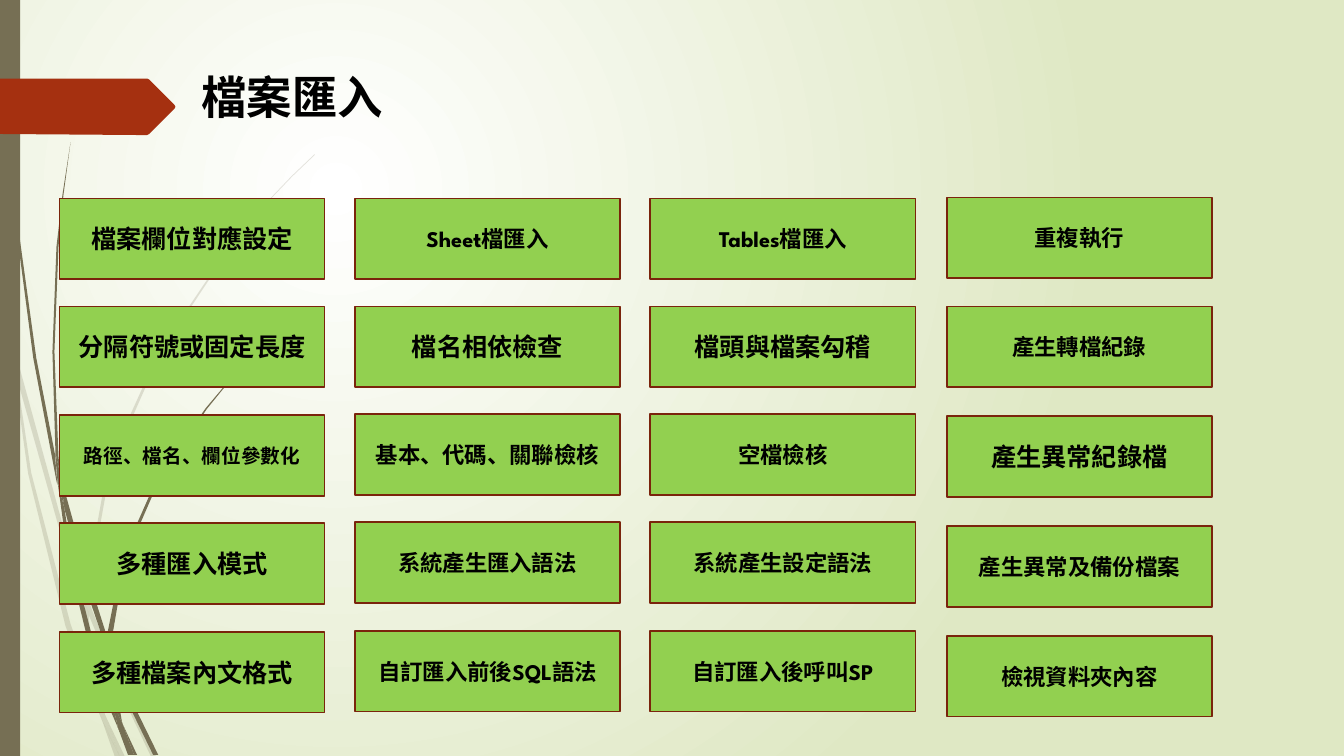
from dataclasses import dataclass

from lxml import etree
from pptx import Presentation
from pptx import util as u
from pptx.dml import color
from pptx.enum import shapes, text
from pptx.oxml import ns

PX = 9144  # EMU per px, 100 px to the inch
FONT = "League Spartan"
COLORS = {
    "glow": "FFFFFF",
    "backdrop": "DFE8C4",
    "olive": "766F54",
    "banner": "A53010",
    "box": "92D050",
    "border": "7A240C",
    "text": "000000",
}
BOX_WIDTH, BOX_HEIGHT = 263, 80
Points = list[tuple[int, int]]


@dataclass
class Feature:
    label: str
    size: int = 16


@dataclass
class Column:
    left: int
    top: int
    last_top: int
    features: list[Feature]


@dataclass
class Outline:
    points: Points
    fill: str = "olive"
    opacity: int = 100


COLUMNS = [
    Column(59, 197, 627, [
        Feature("檔案欄位對應設定", 18),
        Feature("分隔符號或固定長度", 18),
        Feature("路徑、檔名、欄位參數化", 14),
        Feature("多種匯入模式", 18),
        Feature("多種檔案內文格式", 18),
    ]),
    Column(352, 197, 626, [
        Feature("Sheet檔匯入"),
        Feature("檔名相依檢查", 18),
        Feature("基本、代碼、關聯檢核"),
        Feature("系統產生匯入語法"),
        Feature("自訂匯入前後SQL語法"),
    ]),
    Column(645, 197, 626, [
        Feature("Tables檔匯入"),
        Feature("檔頭與檔案勾稽", 18),
        Feature("空檔檢核"),
        Feature("系統產生設定語法"),
        Feature("自訂匯入後呼叫SP"),
    ]),
    Column(939, 196, 631, [
        Feature("重複執行"),
        Feature("產生轉檔紀錄"),
        Feature("產生異常紀錄檔", 18),
        Feature("產生異常及備份檔案"),
        Feature("檢視資料夾內容"),
    ]),
]

PALE_BLADES: list[Points] = [
    [(11, 350), (9, 322), (0, 282), (0, 299), (10, 344)],
    [(58, 522), (84, 599), (85, 586), (62, 520), (14, 345), (17, 376)],
    [(92, 607), (88, 596), (88, 610), (123, 694), (150, 751), (155, 751), (127, 692)],
    [(119, 751), (124, 751), (105, 711)],
    [(93, 683), (70, 619), (31, 469), (17, 376), (11, 350), (28, 470), (65, 621),
     (92, 693), (101, 714), (99, 707)],
    [(84, 599), (87, 646), (93, 683), (96, 692), (105, 711), (103, 706), (91, 646),
     (88, 610), (88, 608)],
    [(88, 584), (110, 462), (160, 349), (229, 245), (268, 198), (290, 175), (312, 154),
     (312, 153), (289, 175), (268, 197), (228, 244), (158, 348), (107, 461), (85, 584),
     (85, 586), (88, 596)],
    [(101, 714), (114, 751), (119, 751)],
    [(88, 608), (88, 610), (88, 596), (85, 586), (84, 599)],
    [(96, 692), (93, 683), (99, 707), (101, 714), (119, 751), (105, 711)],
]

DARK_BLADES: list[Points] = [
    [(7, 110), (17, 233), (33, 355), (56, 477), (57, 481), (55, 457), (55, 453),
     (36, 355), (19, 232), (8, 109), (5, 48), (4, 0), (3, 0), (4, 48)],
    [(88, 592), (106, 645), (106, 633), (106, 631), (93, 590), (60, 472), (64, 505)],
    [(113, 649), (110, 641), (111, 656), (132, 708), (152, 749), (157, 749), (136, 706)],
    [(110, 691), (98, 657), (72, 556), (64, 505), (57, 477), (68, 557), (93, 659),
     (111, 708), (117, 722), (116, 717)],
    [(60, 472), (58, 453), (54, 349), (58, 245), (63, 193), (70, 141), (62, 193),
     (56, 245), (52, 349), (55, 449)],
    [(133, 749), (136, 749), (122, 719)],
    [(57, 477), (64, 505), (60, 472), (55, 449), (55, 453)],
    [(111, 633), (125, 552), (158, 476), (205, 406), (231, 374), (245, 359), (261, 344),
     (260, 344), (245, 358), (231, 373), (204, 405), (156, 474), (122, 551), (106, 631),
     (110, 641)],
    [(117, 722), (127, 749), (131, 749)],
    [(106, 645), (110, 691), (116, 706), (122, 719), (121, 716), (111, 656), (109, 651)],
    [(116, 706), (110, 691), (116, 717), (117, 722), (130, 749), (133, 749), (122, 719)],
]

BANNER: Points = [
    (173, 108), (148, 133), (146, 134), (136, 134), (0, 133), (0, 78),
    (146, 78), (148, 79), (173, 104), (174, 106),
]


def px(length: int) -> int:
    return length * PX


def rgb(name: str) -> color.RGBColor:
    return color.RGBColor.from_string(COLORS[name])


def paint(shape, fill: str) -> None:
    shape.shadow.inherit = False
    shape.fill.solid()
    shape.fill.fore_color.rgb = rgb(fill)
    shape.line.fill.background()


def write(shape, label: str, size: float) -> None:
    paragraph = shape.text_frame.paragraphs[0]
    paragraph.text = label
    paragraph.font.name = FONT
    paragraph.font.size = u.Pt(size)
    paragraph.font.bold = True
    paragraph.font.color.rgb = rgb("text")


def draw_backdrop(slide) -> None:
    fill = slide.background.fill
    fill.gradient()
    for stop, name in zip(fill.gradient_stops, ("glow", "backdrop")):
        stop.color.rgb = rgb(name)
    gradient = slide.element.find(".//" + ns.qn("a:gradFill"))
    gradient.remove(gradient.find(ns.qn("a:lin")))
    circle = etree.SubElement(gradient, ns.qn("a:path"), path="circle")
    etree.SubElement(circle, ns.qn("a:fillToRect"),
                     l="50000", t="50000", r="100000", b="100000")


def draw_outline(slide, outline: Outline) -> None:
    start, *others = outline.points
    builder = slide.shapes.build_freeform(*start, scale=PX)
    builder.add_line_segments(others, close=True)
    shape = builder.convert_to_shape()
    paint(shape, outline.fill)
    if outline.opacity < 100:
        tint = shape.element.spPr.find(f"{ns.qn('a:solidFill')}/{ns.qn('a:srgbClr')}")
        etree.SubElement(tint, ns.qn("a:alpha"), val=str(outline.opacity * 1000))


def draw_rectangle(slide, left: int, top: int, width: int, height: int, fill: str):
    shape = slide.shapes.add_shape(
        shapes.MSO_SHAPE.RECTANGLE, px(left), px(top), px(width), px(height))
    paint(shape, fill)
    return shape


def draw_title(slide, label: str) -> None:
    title = slide.shapes.add_textbox(px(190), px(64), px(975), px(94))
    title.text_frame.word_wrap = True
    write(title, label, 32.4)


def draw_column(slide, column: Column) -> None:
    gaps = len(column.features) - 1
    for row, feature in enumerate(column.features):
        top = column.top + (column.last_top - column.top) * row // gaps
        box = draw_rectangle(slide, column.left, top, BOX_WIDTH, BOX_HEIGHT, "box")
        box.line.color.rgb = rgb("border")
        box.line.width = u.Pt(1.25)
        box.text_frame.vertical_anchor = text.MSO_ANCHOR.MIDDLE
        write(box, feature.label, feature.size)
        box.text_frame.paragraphs[0].alignment = text.PP_ALIGN.CENTER


def main() -> None:
    presentation = Presentation()
    presentation.slide_width, presentation.slide_height = px(1333), px(750)
    slide = presentation.slides.add_slide(presentation.slide_layouts[6])

    # Backdrop with grass blades, side bar and banner
    draw_backdrop(slide)
    for points in PALE_BLADES:
        draw_outline(slide, Outline(points, opacity=20))
    for points in DARK_BLADES:
        draw_outline(slide, Outline(points))
    draw_rectangle(slide, 0, 0, 20, 750, "olive")
    draw_outline(slide, Outline(BANNER, "banner"))

    # Title and feature boxes
    draw_title(slide, "檔案匯入")
    for column in COLUMNS:
        draw_column(slide, column)

    presentation.save("out.pptx")


if __name__ == "__main__":
    main()
